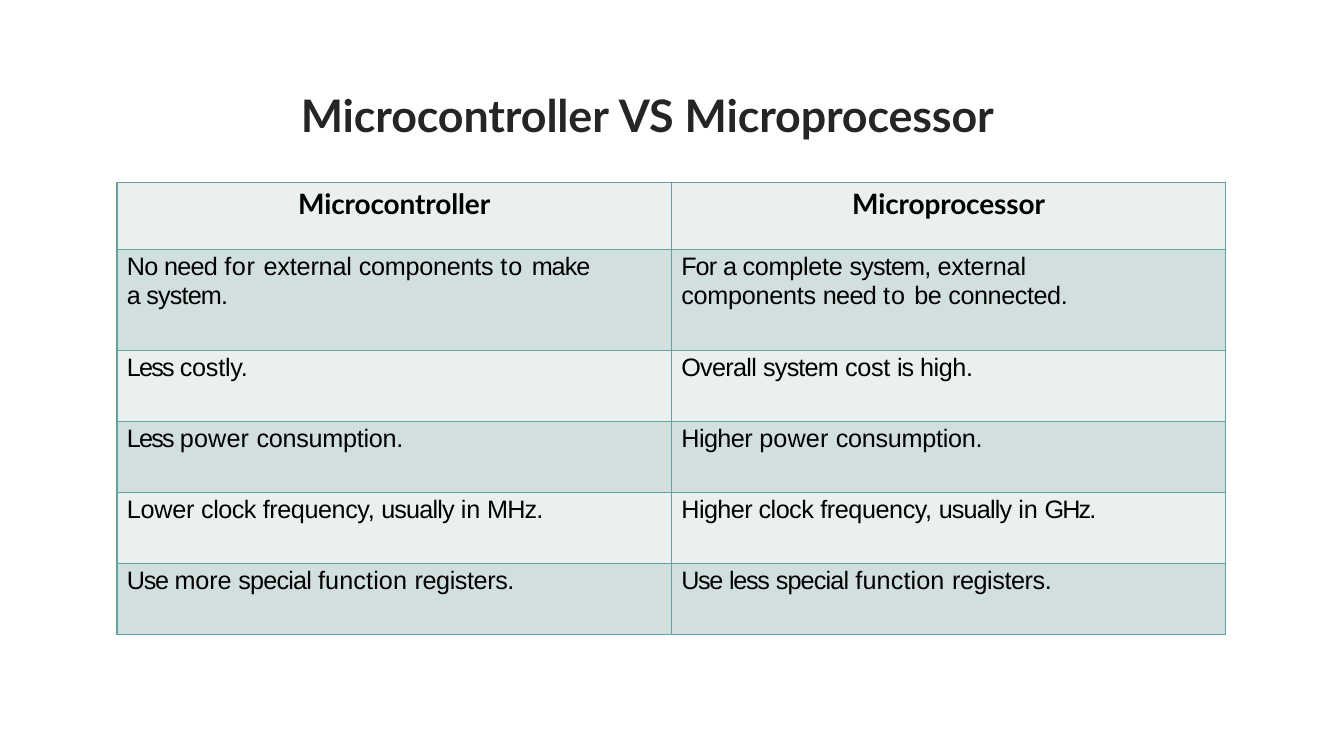
import pptx
import pptx.dml.color
import pptx.enum.text
import pptx.oxml
import pptx.oxml.ns
import pptx.util

Pt = pptx.util.Pt
ALIGN = pptx.enum.text.PP_ALIGN
ANCHOR = pptx.enum.text.MSO_ANCHOR

COLORS = {
    "title": "252525",
    "text": "000000",
    "border": "61A29F",
    "light": "EAEFEF",
    "dark": "D2DFDF",
}
TITLE_FONT = {"name": "Lato", "size": Pt(32), "bold": True}
HEADER_FONT = {"name": "Lato", "size": Pt(20), "bold": True}
BODY_FONT = {"name": "Arial", "size": Pt(18), "bold": False}
HEADER_MARGINS = {"margin_left": 0, "margin_right": 0,
                  "margin_top": Pt(3.3), "margin_bottom": 0}
BODY_MARGINS = {"margin_left": Pt(7.2), "margin_right": Pt(52),
                "margin_top": Pt(2.4), "margin_bottom": 0}

TRACKING = {
    "No": -0.5, "need": -0.5, "for": 0.5, "external": -0.1,
    "components": -0.2, "to": 0.8, "make": -0.7, "a": -1.2,
    "system": -0.6, "For": -0.7, "complete": -0.2, "be": -0.4,
    "connected": -0.3, "Less": -1.3, "costly": -0.2, "Overall": -0.5,
    "cost": -0.2, "is": -0.8, "high": -0.3, "power": 0.1,
    "consumption": -0.2, "Higher": -0.4, "Lower": -0.2, "clock": -0.4,
    "frequency": -0.3, "usually": -0.6, "in": -0.1, "MHz": -0.6,
    "GHz": -1.4, "Use": -1, "more": -0.1, "less": -0.9,
    "special": -0.6, "function": 0.1, "registers": -0.3,
    "Microcontroller": -0.1, "Microprocessor": -0.1,
}

COMPARISON = [
    ("Microcontroller", "Microprocessor"),
    ("No need for external components to make a system.",
     "For a complete system, external components need to be connected."),
    ("Less costly.", "Overall system cost is high."),
    ("Less power consumption.", "Higher power consumption."),
    ("Lower clock frequency, usually in MHz.",
     "Higher clock frequency, usually in GHz."),
    ("Use more special function registers.",
     "Use less special function registers."),
]
ROW_HEIGHTS = [48, 72] + [50.7] * 4


def rgb(name):
    return pptx.dml.color.RGBColor.from_string(COLORS[name])


def apply_format(target, values):
    for name, value in values.items():
        setattr(target, name, value)


def write_words(paragraph, text, font, color):
    words = text.split(" ")
    for index, word in enumerate(words):
        span = paragraph.add_run()
        span.text = word if index == len(words) - 1 else word + " "
        apply_format(span.font, font)
        span.font.color.rgb = rgb(color)
        tracking = TRACKING.get(word.strip(".,"), 0)
        span._r.get_or_add_rPr().set("spc", str(round(tracking * 100)))


def add_borders(cell):
    properties = cell._tc.get_or_add_tcPr()
    namespace = pptx.oxml.ns.nsdecls("a")
    for index, side in enumerate(("lnL", "lnR", "lnT", "lnB")):
        properties.insert(index, pptx.oxml.parse_xml(
            f'<a:{side} {namespace} w="{Pt(1)}"><a:solidFill>'
            f'<a:srgbClr val="{COLORS["border"]}"/>'
            f'</a:solidFill></a:{side}>'))


def add_title(page, text):
    title = page.shapes.title
    apply_format(title, {"left": Pt(214), "top": Pt(62),
                         "width": Pt(533), "height": Pt(40)})
    frame = title.text_frame
    apply_format(frame, {"margin_left": Pt(0.9), "margin_right": 0,
                         "margin_top": Pt(1), "margin_bottom": 0,
                         "word_wrap": True, "vertical_anchor": ANCHOR.TOP,
                         "auto_size": pptx.enum.text.MSO_AUTO_SIZE.NONE})
    paragraph = frame.paragraphs[0]
    paragraph.alignment = ALIGN.LEFT
    write_words(paragraph, text, TITLE_FONT, "title")


def fill_cell(cell, text, row):
    header = row == 0
    cell.fill.solid()
    cell.fill.fore_color.rgb = rgb("dark" if row % 2 else "light")
    add_borders(cell)
    apply_format(cell, HEADER_MARGINS if header else BODY_MARGINS)
    cell.vertical_anchor = ANCHOR.TOP
    paragraph = cell.text_frame.paragraphs[0]
    paragraph.alignment = ALIGN.CENTER if header else ALIGN.LEFT
    write_words(paragraph, text, HEADER_FONT if header else BODY_FONT, "text")


def add_comparison(page):
    table = page.shapes.add_table(
        len(COMPARISON), 2, Pt(83.5), Pt(130.3),
        Pt(792), Pt(sum(ROW_HEIGHTS))).table
    for row, (texts, height) in enumerate(zip(COMPARISON, ROW_HEIGHTS)):
        table.rows[row].height = Pt(height)
        for column, text in enumerate(texts):
            fill_cell(table.cell(row, column), text, row)


def main():
    deck = pptx.Presentation()
    apply_format(deck, {"slide_width": Pt(960), "slide_height": Pt(540)})
    page = deck.slides.add_slide(deck.slide_layouts[5])
    add_title(page, "Microcontroller VS Microprocessor")
    add_comparison(page)
    deck.save("out.pptx")


if __name__ == "__main__":
    main()
